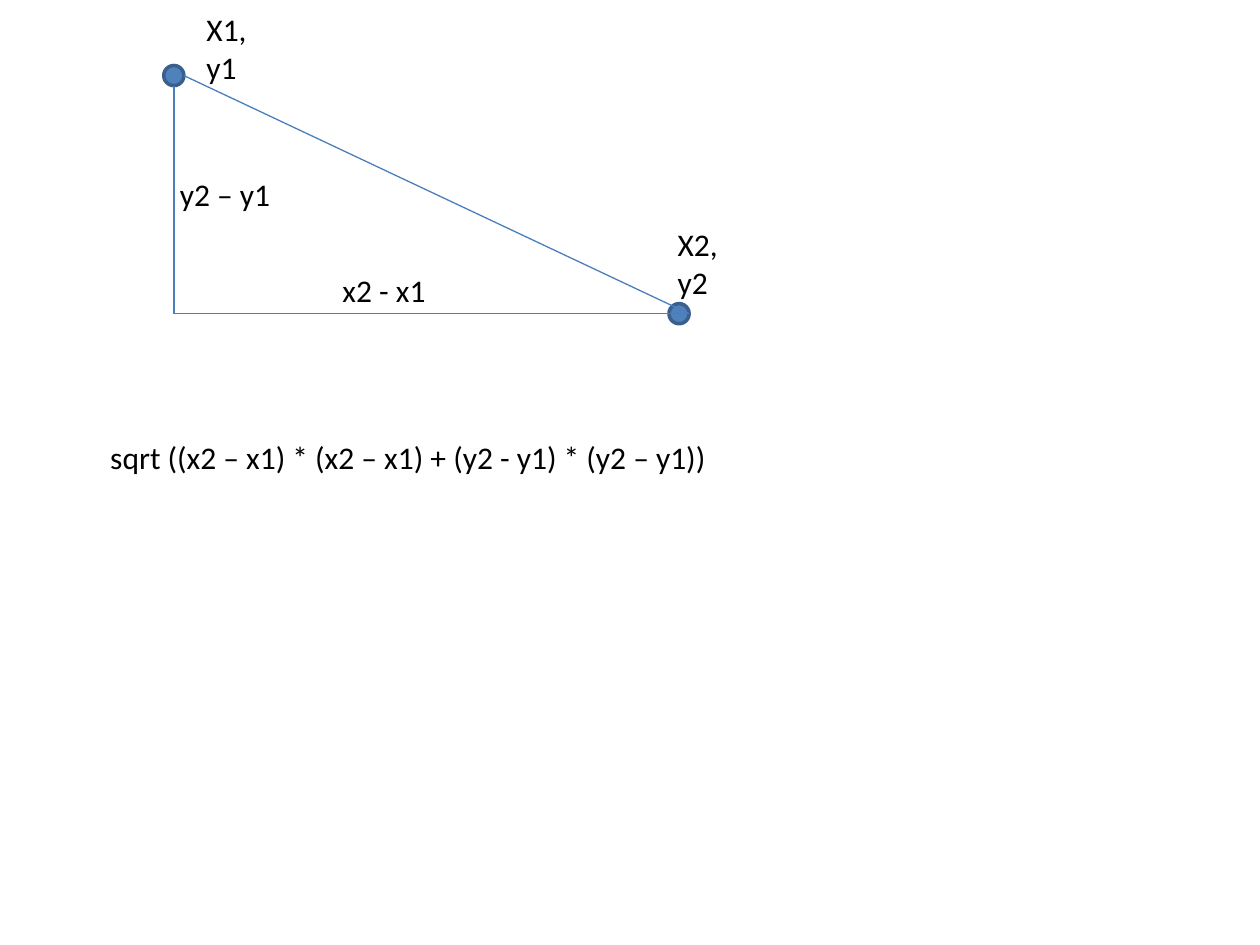
from pptx import Presentation
from pptx.dml.color import RGBColor
from pptx.enum.shapes import MSO_CONNECTOR, MSO_SHAPE
from pptx.enum.text import MSO_AUTO_SIZE
from pptx.oxml.ns import qn
from pptx.util import Inches, Pt
from lxml import etree

OVAL = MSO_SHAPE.OVAL
STRAIGHT = MSO_CONNECTOR.STRAIGHT
FIT_SHAPE = MSO_AUTO_SIZE.SHAPE_TO_FIT_TEXT
BLANK_LAYOUT = 6


def rgb(value):
    """Turn a hex string into a colour."""
    return RGBColor.from_string(value)


class Diagram:
    """Draws points, lines and labels on one slide in one style."""

    font, size, ink = "Calibri", 18, "000000"
    point_fill, point_line, line_color = "4F81BD", "3A5F8C", "4B7EBC"
    radius = 0.08

    def __init__(self, slide):
        """Keep the slide to draw on."""
        self.slide = slide

    def point(self, x, y):
        """Add a round point centred at x, y."""
        r = self.radius
        sp = self.slide.shapes.add_shape(
            OVAL, Inches(x - r), Inches(y - r), Inches(2 * r), Inches(2 * r))
        sp.shadow.inherit = False
        sp.fill.solid()
        sp.fill.fore_color.rgb = rgb(self.point_fill)
        sp.line.color.rgb = rgb(self.point_line)
        sp.line.width = Pt(2)

    def line(self, start, end):
        """Add a thin straight line without a shadow."""
        cx = self.slide.shapes.add_connector(
            STRAIGHT, *(Inches(v) for v in (*start, *end)))
        cx.line.color.rgb = rgb(self.line_color)
        cx.line.width = Pt(0.75)
        etree.SubElement(cx._element.spPr, qn("a:effectLst"))

    def label(self, text, left, top, width, height=0.4, wrap=True):
        """Add a text label; a newline starts a new paragraph."""
        sp = self.slide.shapes.add_textbox(
            Inches(left), Inches(top), Inches(width), Inches(height))
        tf = sp.text_frame
        tf.word_wrap = wrap
        tf.auto_size = FIT_SHAPE
        tf.text = text
        for p in tf.paragraphs:
            for r in p.runs:
                r.font.name = self.font
                r.font.size = Pt(self.size)
                r.font.color.rgb = rgb(self.ink)


def main():
    """Build the distance formula slide."""
    prs = Presentation()
    prs.slide_width, prs.slide_height = Inches(10), Inches(7.5)
    s = Diagram(prs.slides.add_slide(prs.slide_layouts[BLANK_LAYOUT]))

    x1, y1 = 1.38, 0.6
    x2, y2 = 5.39, 2.49
    r = s.radius
    corner, right_end = (x1, y2), (x2 + r, y2)

    s.point(x1, y1)
    s.point(x2, y2)
    s.line((x1, y1 + r), corner)
    s.line(right_end, corner)
    s.line((x1 + r, y1), right_end)

    s.label("X1, y1", 1.54, 0.03, 0.71, 0.71)
    s.label("X2,\ny2", 5.28, 1.74, 0.91, 0.71)
    s.label("x2 - x1", 2.62, 2.1, 0.87, wrap=False)
    s.label("y2 – y1", 1.33, 1.34, 0.94, wrap=False)
    s.label(" sqrt ((x2 – x1) * (x2 – x1) + (y2 - y1) * (y2 – y1))",
            0.72, 3.43, 5.35)

    prs.save("out.pptx")


main()
